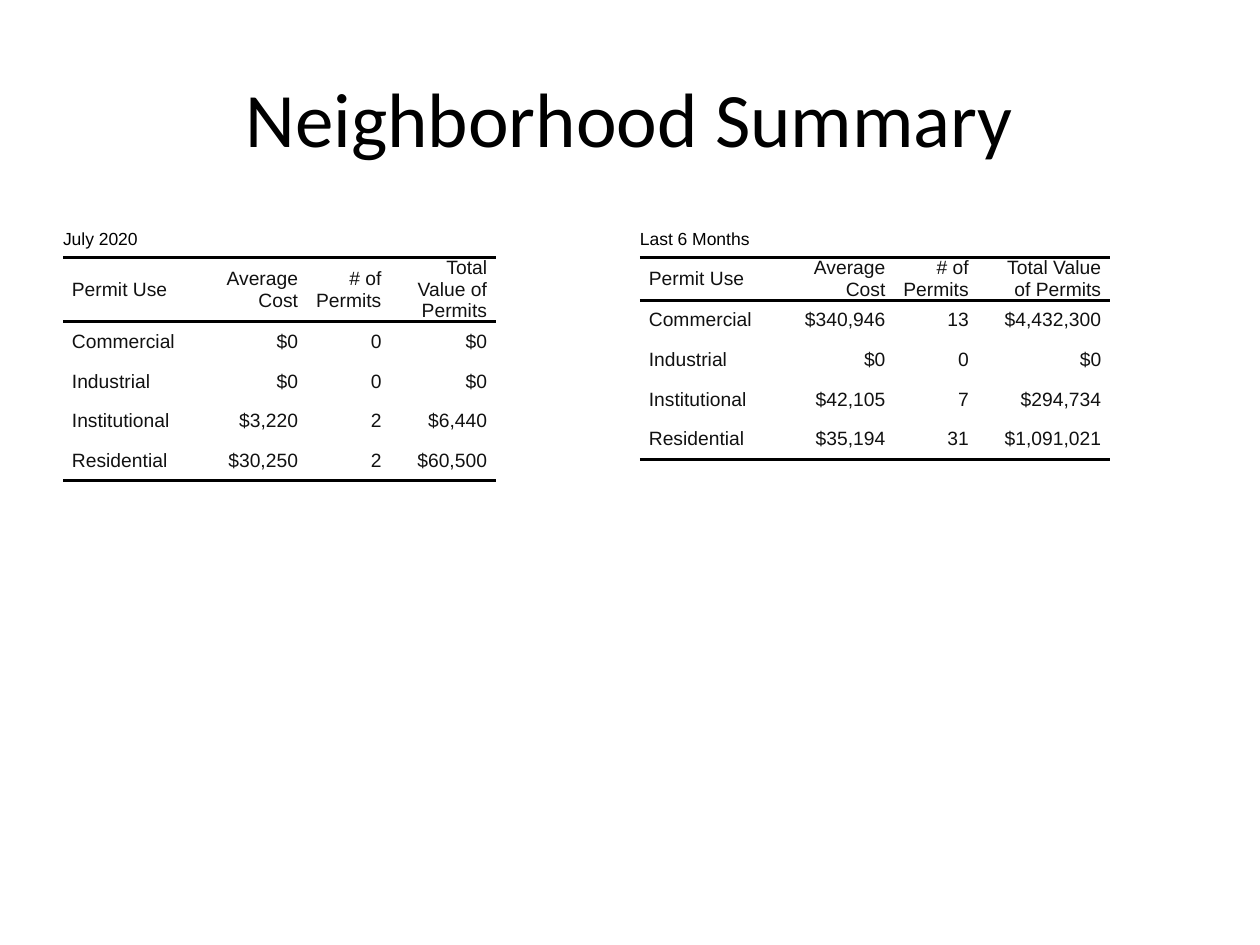
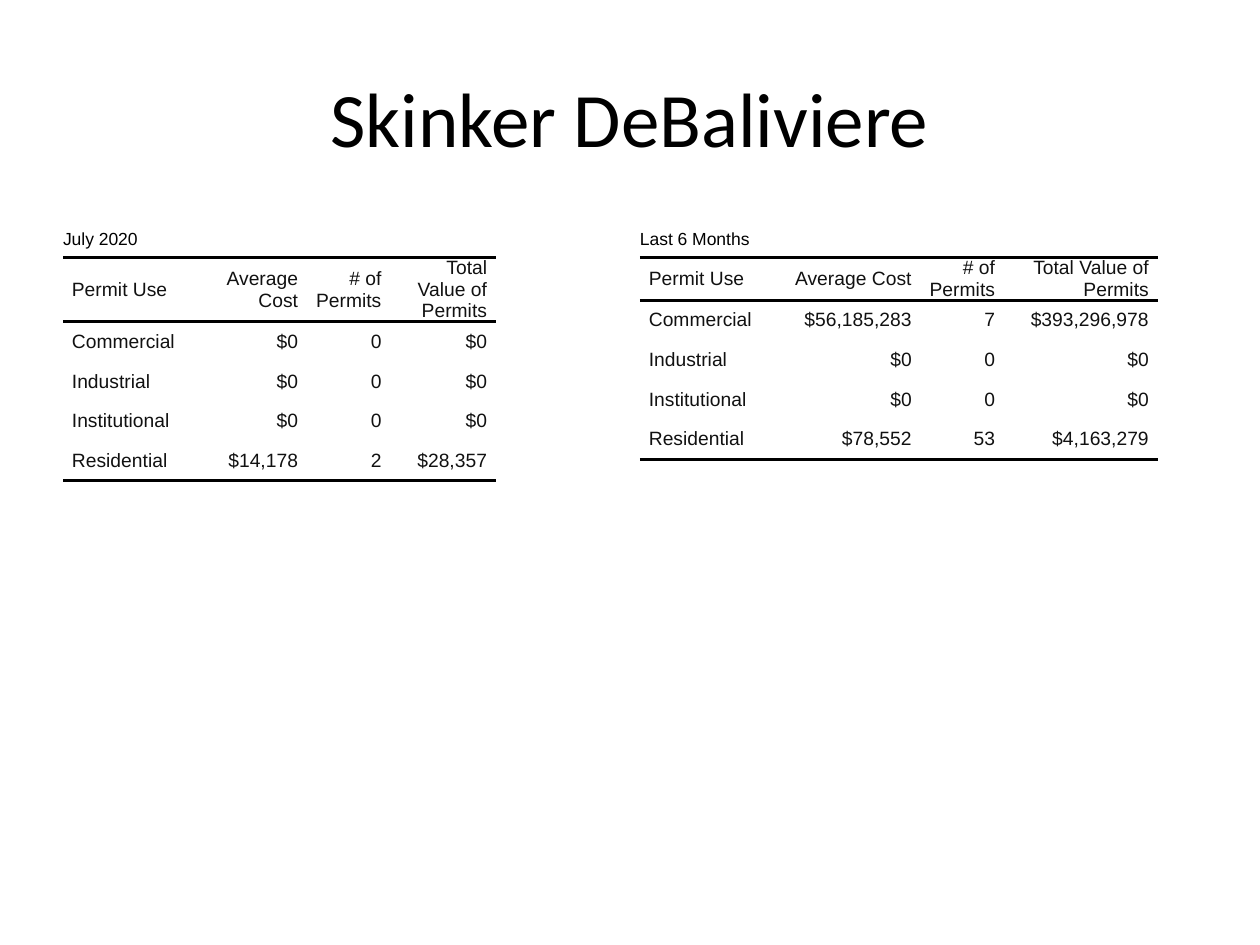
from lxml import etree
from pptx import Presentation
from pptx.dml.color import RGBColor
from pptx.enum import text
from pptx.oxml import ns
from pptx.util import Cm, Pt

COLORS = {"ink": "000000", "body": "111111"}
NO_GRID_STYLE = "{2D5ABB26-0587-4C30-8999-92F81FD0307C}"
HEADINGS = ("Permit Use", "Average Cost", "# of Permits", "Total Value of Permits")
USES = ("Commercial", "Industrial", "Institutional", "Residential")

JULY = {"caption": "July 2020", "left": 1.27, "widths": (2.79, 2.13, 1.68, 2.13)}
HALF_YEAR = {"caption": "Last 6 Months", "left": 12.9}

NEIGHBORHOODS = [
    ("Neighborhood Summary", [
        {**JULY, "figures": [
            ("$0", "0", "$0"),
            ("$0", "0", "$0"),
            ("$3,220", "2", "$6,440"),
            ("$30,250", "2", "$60,500")]},
        {**HALF_YEAR, "widths": (2.79, 2.34, 1.68, 2.67), "figures": [
            ("$340,946", "13", "$4,432,300"),
            ("$0", "0", "$0"),
            ("$42,105", "7", "$294,734"),
            ("$35,194", "31", "$1,091,021")]},
    ]),
    ("Skinker DeBaliviere", [
        {**JULY, "figures": [
            ("$0", "0", "$0"),
            ("$0", "0", "$0"),
            ("$0", "0", "$0"),
            ("$14,178", "2", "$28,357")]},
        {**HALF_YEAR, "widths": (2.79, 2.87, 1.68, 3.1), "figures": [
            ("$56,185,283", "7", "$393,296,978"),
            ("$0", "0", "$0"),
            ("$0", "0", "$0"),
            ("$78,552", "53", "$4,163,279")]},
    ]),
]


def apply(target, formats):
    for name, value in formats.items():
        setattr(target, name, value)


class PermitDeck:
    TITLE = {"name": "Calibri", "size": Pt(44)}
    CAPTION = {"name": "Arial", "size": Pt(10)}
    BODY = {"name": "Arial", "size": Pt(11)}
    TITLE_BOX = {"left": Cm(1.27), "top": Cm(0.76), "width": Cm(22.86), "height": Cm(3.18)}
    TABLE_SIZE = {"width": Cm(11.23), "height": Cm(12.57)}
    TABLE_TOP = Cm(4.45)
    CELL = {"margin_left": 0, "margin_right": 0, "margin_top": 0, "margin_bottom": 0,
            "vertical_anchor": text.MSO_ANCHOR.MIDDLE}
    INDENT = Cm(0.18)
    RULE = Pt(2)
    HEAD_HEIGHT, ROW_HEIGHT = Cm(0.74), Cm(0.8)

    def __init__(self):
        self.deck = Presentation()
        apply(self.deck, {"slide_width": Cm(25.4), "slide_height": Cm(19.05)})
        self.slide = None

    def set_text(self, paragraph, words, font, color, align):
        paragraph.text = words
        paragraph.alignment = align
        apply(paragraph.font, font)
        paragraph.font.color.rgb = RGBColor.from_string(COLORS[color])

    def add_slide(self, title):
        self.slide = self.deck.slides.add_slide(self.deck.slide_layouts[5])
        heading = self.slide.shapes.title
        apply(heading, self.TITLE_BOX)
        heading.text_frame.vertical_anchor = text.MSO_ANCHOR.MIDDLE
        self.set_text(heading.text_frame.paragraphs[0], title, self.TITLE, "ink",
                      text.PP_ALIGN.CENTER)

    def rule(self, cell, side):
        """Draw a black line on one side of a cell: "T" or "B"."""
        line = etree.SubElement(cell._tc.get_or_add_tcPr(), ns.qn(f"a:ln{side}"),
                                w=str(self.RULE))
        fill = etree.SubElement(line, ns.qn("a:solidFill"))
        etree.SubElement(fill, ns.qn("a:srgbClr"), val=COLORS["ink"])

    def fill_cell(self, cell, words, column, sides):
        paragraph = cell.text_frame.paragraphs[0]
        margins = paragraph._p.get_or_add_pPr()
        for name in ("marL", "marR"):
            margins.set(name, str(self.INDENT))
        self.set_text(paragraph, words, self.BODY, "body",
                      text.PP_ALIGN.RIGHT if column else text.PP_ALIGN.LEFT)
        for side in sides:
            self.rule(cell, side)

    def add_permits(self, caption, left, widths, figures):
        rows = [HEADINGS] + [(use, *values) for use, values in zip(USES, figures)]
        frame = self.slide.shapes.add_table(len(rows) + 1, len(widths), Cm(left),
                                            self.TABLE_TOP, *self.TABLE_SIZE.values())
        table = frame.table
        apply(table, {"first_row": False, "horz_banding": False})
        table._tbl.tblPr.find(ns.qn("a:tableStyleId")).text = NO_GRID_STYLE
        for column, width in zip(table.columns, widths):
            column.width = Cm(width)
        for index, row in enumerate(table.rows):
            row.height = self.HEAD_HEIGHT if index < 2 else self.ROW_HEIGHT
        apply(frame, self.TABLE_SIZE)

        sides = {1: "TB", len(rows): "B"}
        for r, row in enumerate(rows, start=1):
            for c, words in enumerate(row):
                self.fill_cell(table.cell(r, c), words, c, sides.get(r, ""))
        for cell in table.iter_cells():
            apply(cell, self.CELL)
            cell.fill.background()
        table.cell(0, 0).merge(table.cell(0, len(widths) - 1))
        self.set_text(table.cell(0, 0).text_frame.paragraphs[0], caption, self.CAPTION,
                      "ink", text.PP_ALIGN.LEFT)


def main():
    permits = PermitDeck()
    for title, periods in NEIGHBORHOODS:
        permits.add_slide(title)
        for period in periods:
            permits.add_permits(**period)
    permits.deck.save("out.pptx")


if __name__ == "__main__":
    main()
